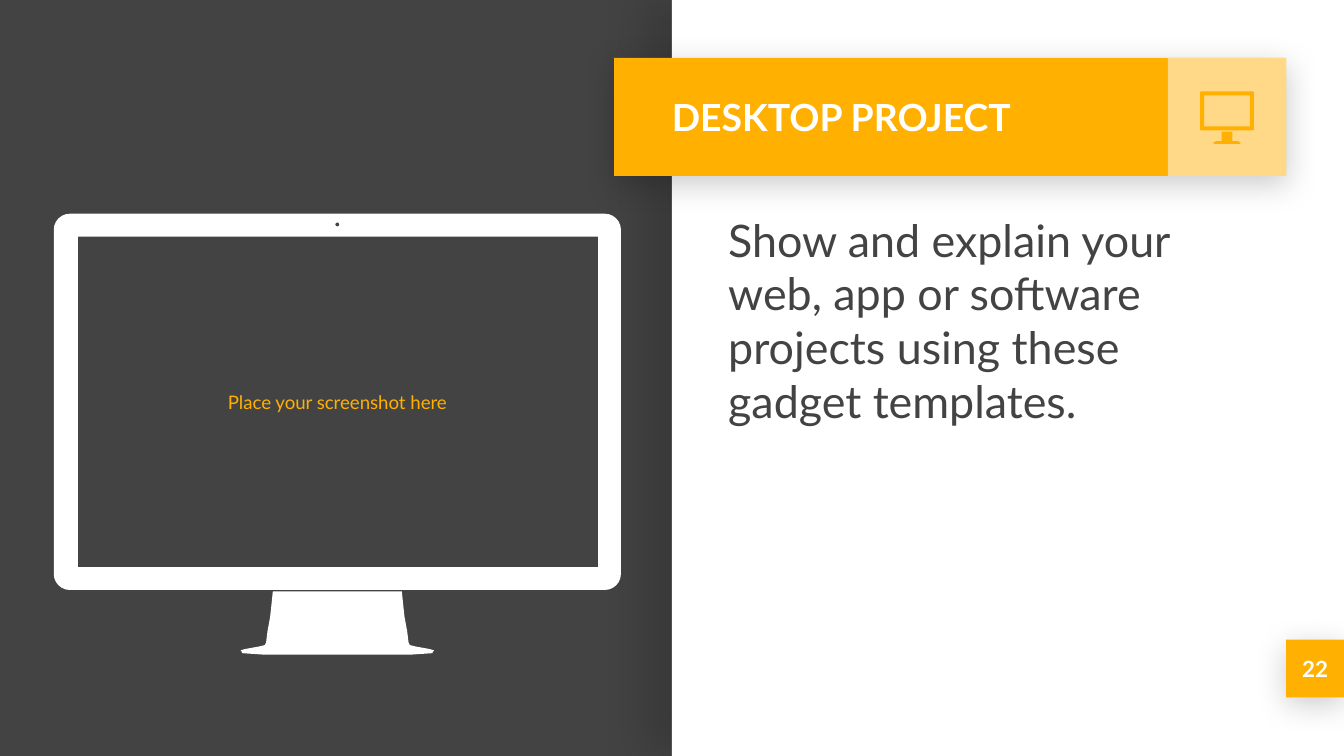
import math

from lxml import etree
from pptx import Presentation
from pptx.dml.color import RGBColor
from pptx.enum.shapes import MSO_SHAPE
from pptx.enum.text import MSO_ANCHOR, PP_ALIGN
from pptx.oxml.ns import qn
from pptx.util import Inches, Pt

RECTANGLE = MSO_SHAPE.RECTANGLE
TOP, MIDDLE = MSO_ANCHOR.TOP, MSO_ANCHOR.MIDDLE
LEFT, CENTER = PP_ALIGN.LEFT, PP_ALIGN.CENTER
SLIDE_WIDTH = 10
SLIDE_HEIGHT = SLIDE_WIDTH * 9 / 16


class Theme:
    font = "Lato"
    dark, white, amber = "434343", "FFFFFF", "FFB000"
    body_size, title_size, number_size, hint_size = 24, 20, 12, 10
    # Shadows: opacity %, blur pt, distance pt, direction in degrees
    panel_shadow = (15, 22.5, 15, 180)
    card_shadow = (20, 16.9, 3.8, 90)


class SlideBuilder:
    def __init__(self, theme, slide):
        self.theme = theme
        self.slide = slide

    def background(self, color):
        fill = self.slide.background.fill
        fill.solid()
        fill.fore_color.rgb = RGBColor.from_string(color)

    def paint(self, shape, color):
        shape.shadow.inherit = False
        shape.fill.solid()
        shape.fill.fore_color.rgb = RGBColor.from_string(color)
        shape.line.fill.background()

    def rectangle(self, box, color, shadow=None, opacity=None):
        shape = self.slide.shapes.add_shape(RECTANGLE, *map(Inches, box))
        self.paint(shape, color)
        if opacity is not None:
            fill = shape._element.spPr.find(qn("a:solidFill"))
            self.set_alpha(fill.find(qn("a:srgbClr")), opacity)
        if shadow:
            self.cast_shadow(shape, *shadow)

    def set_alpha(self, color_element, percent):
        etree.SubElement(color_element, qn("a:alpha"), val=str(percent * 1000))

    def cast_shadow(self, shape, opacity, blur, distance, direction):
        effects = shape._element.spPr.find(qn("a:effectLst"))
        outer = etree.SubElement(
            effects, qn("a:outerShdw"), blurRad=str(Pt(blur)), dist=str(Pt(distance)),
            dir=str(direction * 60000), algn="bl", rotWithShape="0")
        rgb = etree.SubElement(outer, qn("a:srgbClr"), val="000000")
        self.set_alpha(rgb, opacity)

    def outline(self, contours, color):
        contours = [[(Inches(x), Inches(y)) for x, y in points] for points in contours]
        builder = self.slide.shapes.build_freeform(*contours[0][0], scale=1.0)
        for index, points in enumerate(contours):
            if index:
                builder.move_to(*points[0])
            builder.add_line_segments(points[1:], close=True)
        self.paint(builder.convert_to_shape(), color)

    def text(self, box, wording, size, color, bold=False, anchor=MIDDLE,
             align=LEFT, space_before=0):
        frame = self.slide.shapes.add_textbox(*map(Inches, box)).text_frame
        paragraph = frame.paragraphs[0]
        run = paragraph.add_run()
        run.text = wording
        margins = dict.fromkeys(
            ("margin_left", "margin_top", "margin_right", "margin_bottom"), Inches(0.1))
        formats = (
            (frame, {"word_wrap": True, "vertical_anchor": anchor, **margins}),
            (paragraph, {"alignment": align, "space_before": Pt(space_before)}),
            (run.font, {"name": self.theme.font, "size": Pt(size), "bold": bold}),
        )
        for target, values in formats:
            for name, value in values.items():
                setattr(target, name, value)
        run.font.color.rgb = RGBColor.from_string(color)


def box_points(left, top, right, bottom):
    return [(left, top), (right, top), (right, bottom), (left, bottom)]


def arc(x, y, radius, start, end, steps):
    angles = [math.radians(start + (end - start) * i / steps) for i in range(steps + 1)]
    return [(x + radius * math.cos(a), y + radius * math.sin(a)) for a in angles]


def rounded_box(left, top, right, bottom, radius):
    centers = box_points(left + radius, top + radius, right - radius, bottom - radius)
    return [point for i, (x, y) in enumerate(centers)
            for point in arc(x, y, radius, 180 + 90 * i, 270 + 90 * i, 6)]


def mirrored(axis, half):
    return ([(axis - dx, y) for dx, y in half]
            + [(axis + dx, y) for dx, y in reversed(half)])


def main():
    presentation = Presentation()
    presentation.slide_width = Inches(SLIDE_WIDTH)
    presentation.slide_height = Inches(SLIDE_HEIGHT)
    theme = Theme()
    page = SlideBuilder(
        theme, presentation.slides.add_slide(presentation.slide_layouts[6]))

    # Backdrop, page number tile and title banner
    number_box = (9.57, 4.76, 0.43, 0.43)
    page.background(theme.dark)
    page.rectangle((5, 0, 5, SLIDE_HEIGHT), theme.white, theme.panel_shadow)
    page.rectangle(number_box, theme.amber, theme.card_shadow)
    page.rectangle((4.57, 0.43, 5, 0.88), theme.amber, theme.card_shadow)
    page.rectangle((8.69, 0.43, 0.88, 0.88), theme.white, opacity=53)

    # Desktop computer: case with camera and screen cut out, stand, foot
    axis = 2.51
    camera_diameter = 0.03
    stand = [(0.48, 4.4), (0.49, 4.5), (0.5, 4.59), (0.52, 4.7), (0.53, 4.78),
             (0.54, 4.8), (0.58, 4.81), (0.69, 4.83), (0.72, 4.84), (0.71, 4.85)]
    foot = [(0.71, 4.85), (0.71, 4.86), (0.56, 4.87)]
    page.outline([
        rounded_box(0.4, 1.59, 4.62, 4.39, 0.12),
        box_points(0.58, 1.76, 4.45, 4.22),
        arc(axis, 1.67, camera_diameter / 2, 0, 330, 11),
        mirrored(axis, stand),
        mirrored(axis, foot),
    ], theme.white)

    # Wording
    page.text((5.32, 1.48, 4.13, 3.21),
              "Show and explain your web, app or software projects using these "
              "gadget templates.",
              theme.body_size, theme.dark, anchor=TOP, space_before=6)
    page.text((0.58, 1.76, 3.86, 2.47), "Place your screenshot here",
              theme.hint_size, theme.amber, align=CENTER)
    page.text(number_box, "22", theme.number_size, theme.white, bold=True, align=CENTER)
    page.text((4.9, 0.43, 3.78, 0.88), "DESKTOP PROJECT",
              theme.title_size, theme.white, bold=True)

    # Banner icon: stand and screen frame
    icon_stand = [(0.04, 0.98), (0.04, 1.05), (0.08, 1.05), (0.1, 1.06), (0.1, 1.07)]
    page.outline([mirrored(9.13, icon_stand)], theme.amber)
    page.outline([rounded_box(8.93, 0.68, 9.33, 0.97, 0.01),
                  box_points(8.96, 0.71, 9.3, 0.94)], theme.amber)

    presentation.save("out.pptx")


if __name__ == "__main__":
    main()
